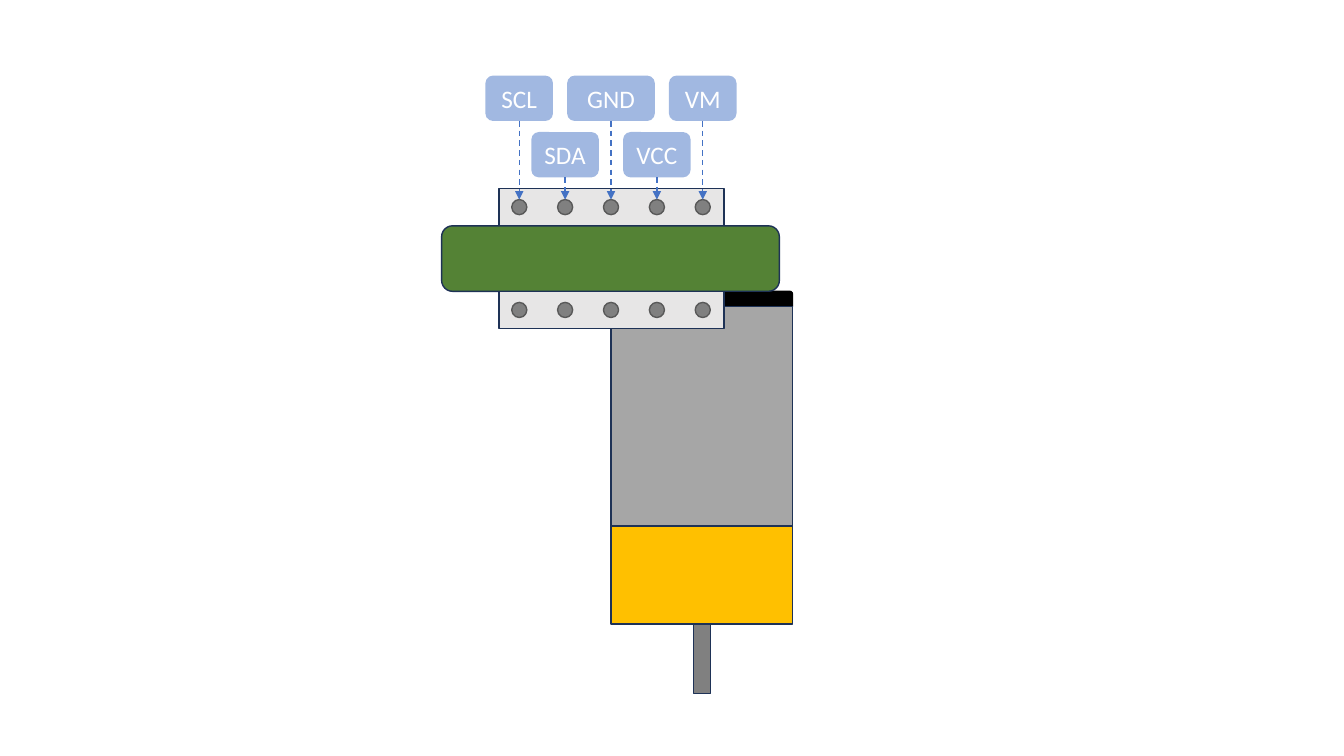
from lxml import etree
from pptx import Presentation
from pptx import util as u
from pptx.dml.color import RGBColor
from pptx.enum import dml, shapes, text
from pptx.oxml.ns import qn

S = shapes.MSO_SHAPE
OUTLINE, BLUE = "1E3256", "4472C4"

# Parts: shape, left, top, width, height, fill, line
MOTOR_BODY = [
    (S.ROUND_2_SAME_RECTANGLE, 6.06, 2.89, 1.8, 0.15, "000000", "000000"),
    (S.RECTANGLE, 6.06, 3.04, 1.8, 2.18, "A6A6A6", OUTLINE),
]
BOARD = (S.ROUNDED_RECTANGLE, 4.38, 2.24, 3.35, 0.65, "548235", OUTLINE)
GEARBOX = [
    (S.RECTANGLE, 6.06, 5.22, 1.8, 0.97, "FFC000", OUTLINE),
    (S.RECTANGLE, 6.88, 6.19, 0.17, 0.69, "808080", OUTLINE),
]

# Pins from left to right: name, label width; labels alternate between two rows
PINS = [("SCL", 0.67), ("SDA", 0.67), ("GND", 0.87), ("VCC", 0.67), ("VM", 0.67)]
PIN_X, PIN_STEP, PIN_SIZE = 5.15, 0.455, 0.15
LABEL_ROWS, LABEL_H = (0.75, 1.31), 0.45
HEADER_X, HEADER_W, HEADER_H = 4.95, 2.23, 0.37
HEADER_TOP, HEADER_BOTTOM = 1.87, 2.89

prs = Presentation()
prs.slide_width, prs.slide_height = u.Inches(13.33), u.Inches(7.5)
slide = prs.slides.add_slide(prs.slide_layouts[6])


def rgb(value):
    return RGBColor.from_string(value)


def add_part(kind, x, y, w, h, fill, line=None):
    sp = slide.shapes.add_shape(kind, *map(u.Inches, (x, y, w, h)))
    sp.shadow.inherit = False
    sp.fill.solid()
    sp.fill.fore_color.rgb = rgb(fill)
    if line:
        sp.line.color.rgb = rgb(line)
        sp.line.width = u.Pt(1)
    else:
        sp.line.fill.background()
    return sp


def pin_center(i):
    return PIN_X + i * PIN_STEP


def add_header(top):
    add_part(S.RECTANGLE, HEADER_X, top, HEADER_W, HEADER_H, "E7E6E6", OUTLINE)
    return [add_part(S.OVAL, pin_center(i) - PIN_SIZE / 2, top + 0.11,
                     PIN_SIZE, PIN_SIZE, "808080", "595959")
            for i in range(len(PINS))]


def add_label(i, name, width):
    sp = add_part(S.ROUNDED_RECTANGLE, pin_center(i) - width / 2,
                  LABEL_ROWS[i % 2], width, LABEL_H, BLUE)
    color = sp.fill._xPr.find(qn("a:solidFill"))[0]
    etree.SubElement(color, qn("a:alpha"), val="50000")
    tf = sp.text_frame
    tf.vertical_anchor = text.MSO_ANCHOR.MIDDLE
    p = tf.paragraphs[0]
    p.text = name
    p.alignment = text.PP_ALIGN.CENTER
    p.font.name, p.font.size = "Calibri", u.Pt(18)
    p.font.color.rgb = rgb("FFFFFF")
    return sp


def add_arrow(label, pin):
    c = slide.shapes.add_connector(shapes.MSO_CONNECTOR.STRAIGHT, 0, 0, 0, 0)
    c.begin_connect(label, 2)
    c.end_connect(pin, 0)
    c.line.color.rgb = rgb(BLUE)
    c.line.width = u.Pt(1)
    c.line.dash_style = dml.MSO_LINE.DASH
    etree.SubElement(c.line._get_or_add_ln(), qn("a:tailEnd"), type="triangle")
    etree.SubElement(c._element.spPr, qn("a:effectLst"))


# Motor body and circuit board
for part in MOTOR_BODY:
    add_part(*part)
add_part(*BOARD)

# Pin headers, labels and arrows
top_pins = add_header(HEADER_TOP)
labels = [add_label(i, name, width) for i, (name, width) in enumerate(PINS)]
add_header(HEADER_BOTTOM)
for label, pin in zip(labels, top_pins):
    add_arrow(label, pin)

# Gearbox and shaft
for part in GEARBOX:
    add_part(*part)

prs.save("out.pptx")
